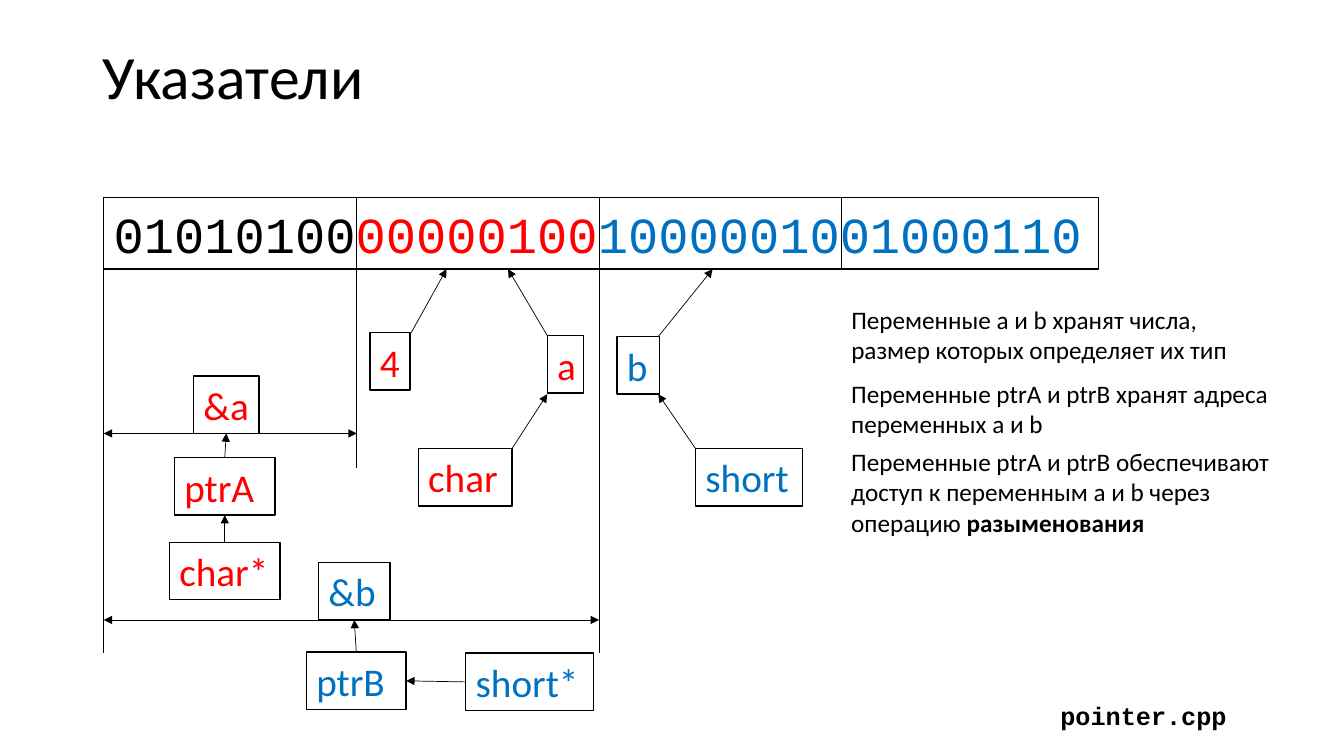
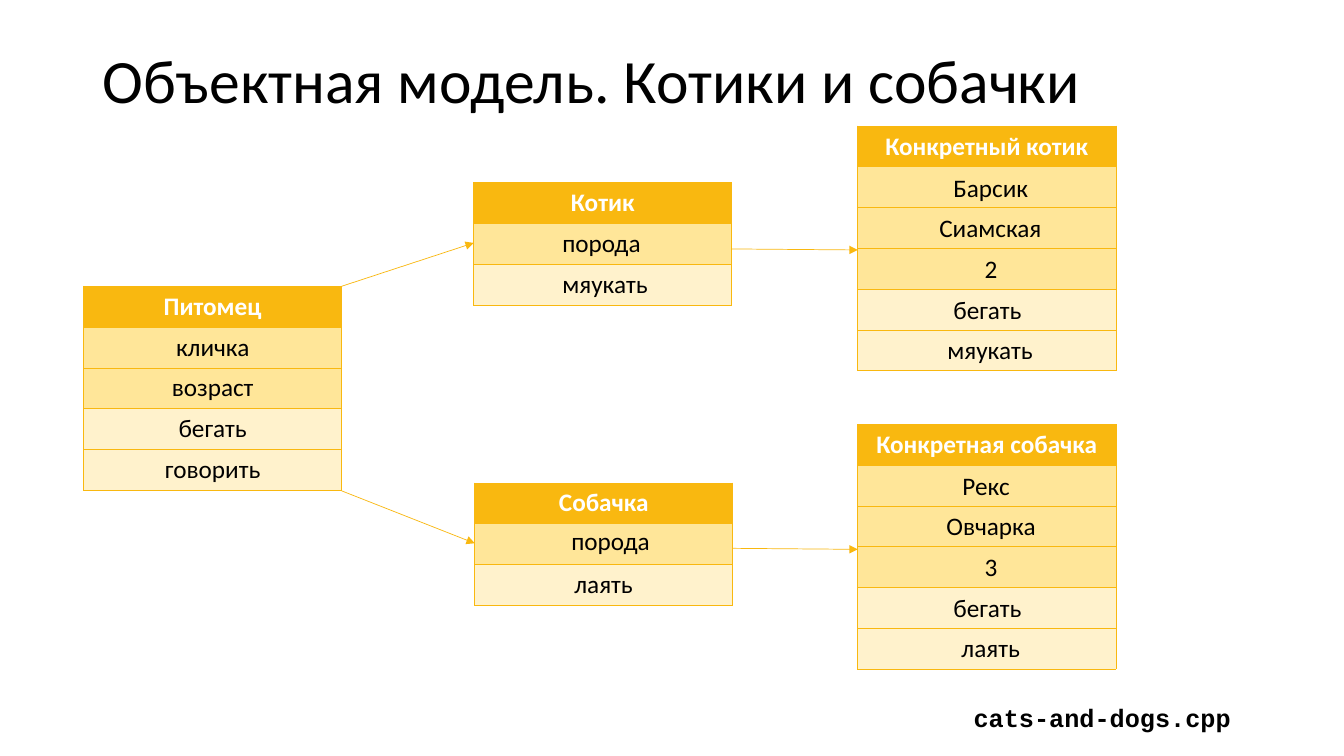
from lxml import etree
from pptx import Presentation
from pptx.dml.color import RGBColor
from pptx.enum.shapes import MSO_CONNECTOR, MSO_SHAPE
from pptx.enum.text import MSO_ANCHOR, PP_ALIGN
from pptx.oxml.ns import qn
from pptx.util import Inches, Pt

BLACK = RGBColor(0x00, 0x00, 0x00)
WHITE = RGBColor(0xFF, 0xFF, 0xFF)
RED = RGBColor(0xFF, 0x00, 0x00)
BLUE = RGBColor(0x00, 0x70, 0xC0)
AMBER = RGBColor(0xF9, 0xB8, 0x10)
FIELD = RGBColor(0xFF, 0xE6, 0x99)
METHOD = RGBColor(0xFF, 0xF2, 0xCC)
BODY, CODE = "Calibri", "Courier New"
LEFT, CENTER = PP_ALIGN.LEFT, PP_ALIGN.CENTER
MIDDLE = MSO_ANCHOR.MIDDLE
STRAIGHT, RECT = MSO_CONNECTOR.STRAIGHT, MSO_SHAPE.RECTANGLE
TOP_SIDE, LEFT_SIDE, BOTTOM_SIDE, RIGHT_SIDE = range(4)

prs = Presentation()
prs.slide_width, prs.slide_height = Inches(13.33), Inches(7.5)
# All positions are columns and rows of a 40 x 30 grid
GRID = (prs.slide_width / 40, prs.slide_height / 30) * 2


def write(tf, *runs, size=18, font=BODY, color=BLACK, bold=False, align=LEFT):
    """Fill the first paragraph; a run is a text or a (text, color, bold) tuple."""
    p = tf.paragraphs[0]
    p.alignment = align
    for run in runs:
        text, run_color, run_bold = (run, color, bold) if isinstance(run, str) else run
        r = p.add_run()
        r.text = text
        r.font.name, r.font.size = font, Pt(size)
        r.font.bold, r.font.color.rgb = run_bold, run_color


def connect(slide, points, color=BLACK, ends=("tailEnd",)):
    """Draw a thin line from x1, y1 to x2, y2 with arrowheads at the named ends."""
    c = slide.shapes.add_connector(STRAIGHT, *[int(v * g) for v, g in zip(points, GRID)])
    c.line.color.rgb, c.line.width = color, Pt(0.5)
    for end in ends:
        etree.SubElement(c.line._get_or_add_ln(), qn(f"a:{end}"), type="triangle")
    etree.SubElement(c._element.spPr, qn("a:effectLst"))
    return c


# Titles and file names
slides = []
for title, title_top, file_name, file_box in [
    ("Указатели", 1.44, "pointer.cpp", (31.26, 27.6, 5.58, 1.6)),
    ("Объектная модель. Котики и собачки", 1.6, "cats-and-dogs.cpp",
     (28.68, 27.68, 8.28, 1.6)),
]:
    s = prs.slides.add_slide(prs.slide_layouts[5])
    sp = s.shapes.title
    sp.left, sp.top, sp.width, sp.height = [
        int(v * g) for v, g in zip((2.76, title_top, 34.5, 3.4), GRID)]
    sp.text_frame.vertical_anchor = MIDDLE
    write(sp.text_frame, title, size=44)
    sp.text_frame.paragraphs[0].line_spacing = 0.9
    sp = s.shapes.add_textbox(*[int(v * g) for v, g in zip(file_box, GRID)])
    sp.text_frame.word_wrap = False
    write(sp.text_frame, file_name, font=CODE, bold=True)
    slides.append(s)
pointers, pets = slides

# Slide 1: memory strip, its byte borders and the address spans
STRIP_LEFT, STRIP_TOP, STRIP_BOTTOM = 3.09, 7.84, 10.68
BYTE_EDGES = [10.62 + 7.21 * i for i in range(3)]
BOX_HEIGHT = 2.28

boxes = {}
BITS = [("01010100", BLACK, False), ("00000100", RED, False),
        ("1000001001000110", BLUE, False)]
LABELS = [
    ("4", RED, 11.01, 13.2, 1.2),
    ("a", RED, 16.29, 13.32, 1.08),
    ("b", BLUE, 18.36, 13.36, 1.26),
    ("&a", RED, 5.76, 14.92, 1.95),
    ("&b", BLUE, 9.48, 22.32, 2.13),
    ("char", RED, 12.45, 17.8, 2.79),
    ("short", BLUE, 20.7, 17.8, 3.18),
    ("ptrA", RED, 5.19, 18.16, 3),
    ("char*", RED, 5.04, 21.52, 3.3),
    ("ptrB", BLUE, 9.12, 25.88, 2.97),
    ("short*", BLUE, 13.86, 25.92, 3.81),
]
strip = (STRIP_LEFT, STRIP_TOP, 29.61, STRIP_BOTTOM - STRIP_TOP)
framed = [("bits", BITS, strip, 36, CODE)]
framed += [(text, [(text, color, False)], (x, y, w, BOX_HEIGHT), 28, BODY)
           for text, color, x, y, w in LABELS]
for name, runs, box, size, font in framed:
    sp = pointers.shapes.add_shape(RECT, *[int(v * g) for v, g in zip(box, GRID)])
    sp.shadow.inherit = False
    sp.fill.solid()
    sp.fill.fore_color.rgb = WHITE
    sp.line.color.rgb, sp.line.width = BLACK, Pt(1)
    sp.text_frame.word_wrap = True
    sp.text_frame.vertical_anchor = MIDDLE
    write(sp.text_frame, *runs, size=size, font=font)
    boxes[name] = sp

for x in BYTE_EDGES:
    connect(pointers, (x, STRIP_TOP, x, STRIP_BOTTOM), ends=())
# Each span has a guide at both ends and a double arrow between them
for right, guide_top, right_top, guide_bottom, y in [
    (BYTE_EDGES[0], STRIP_BOTTOM, STRIP_BOTTOM, 18.56, 17.2),
    (BYTE_EDGES[1], 18.04, 9.2, 25.92, 24.6),
]:
    connect(pointers, (STRIP_LEFT, guide_top, STRIP_LEFT, guide_bottom), ends=())
    connect(pointers, (right, right_top, right, guide_bottom), ends=())
    connect(pointers, (STRIP_LEFT, y, right, y), ends=("headEnd", "tailEnd"))

for points in [
    (12.24, 13.2, 13.29, STRIP_BOTTOM),
    (16.29, 13.32, 15.12, STRIP_BOTTOM),
    (19.59, 13.36, 21.21, STRIP_BOTTOM),
    (20.7, 17.8, 19.59, 15.64),
    (15.24, 17.8, 16.29, 15.64),
]:
    connect(pointers, points)
for start, start_side, end, end_side in [
    ("ptrA", TOP_SIDE, "&a", BOTTOM_SIDE),
    ("char*", TOP_SIDE, "ptrA", BOTTOM_SIDE),
    ("ptrB", TOP_SIDE, "&b", BOTTOM_SIDE),
    ("short*", LEFT_SIDE, "ptrB", RIGHT_SIDE),
]:
    c = connect(pointers, (0, 0, 0, 0))
    c.begin_connect(boxes[start], start_side)
    c.end_connect(boxes[end], end_side)

# Slide 1: explanations
for top, width, height, runs in [
    (11.88, 11.82, 2.84,
     ["Переменные a и b хранят числа, размер которых определяет их тип"]),
    (14.8, 13.83, 2.84, ["Переменные ptrA и ptrB хранят адреса переменных a и b"]),
    (17.52, 13.83, 4.04,
     ["Переменные ptrA и ptrB обеспечивают доступ к переменным a и b через операцию ",
      ("разыменования", BLACK, True)]),
]:
    box = (BYTE_EDGES[2], top, width, height)
    sp = pointers.shapes.add_textbox(*[int(v * g) for v, g in zip(box, GRID)])
    sp.text_frame.word_wrap = True
    write(sp.text_frame, *runs)

# Slide 2: classes and objects as tables; only the first has text in all rows
CLASS_WIDTH, LINE_HEIGHT = 7.68, 1.62
for left, top, texts, field_count, method_count in [
    (2.49, 11.36, ["Питомец", "кличка", "возраст", "бегать", "говорить"], 2, 2),
    (14.1, 7.24, ["Котик"], 1, 1),
    (14.13, 19.16, ["Собачка"], 1, 1),
    (25.53, 5, ["Конкретный котик"], 3, 2),
    (25.53, 16.84, ["Конкретная собачка"], 3, 2),
]:
    fills = [AMBER] + [FIELD] * field_count + [METHOD] * method_count
    box = (left, top, CLASS_WIDTH, LINE_HEIGHT * len(fills))
    table = pets.shapes.add_table(
        len(fills), 1, *[int(v * g) for v, g in zip(box, GRID)]).table
    table.first_row = table.horz_banding = False
    for i, fill in enumerate(fills):
        cell = table.cell(i, 0)
        for side in "LRTB":
            ln = etree.SubElement(cell._tc.get_or_add_tcPr(), qn(f"a:ln{side}"),
                                  w=str(Pt(0.5)))
            solid = etree.SubElement(ln, qn("a:solidFill"))
            etree.SubElement(solid, qn("a:srgbClr"), val=str(AMBER))
        cell.fill.solid()
        cell.fill.fore_color.rgb = fill
        if i < len(texts):
            write(cell.text_frame, texts[i], color=BLACK if i else WHITE,
                  bold=i == 0, align=CENTER)

# Slide 2: labels laid over the rows of the other tables
for text, left, top, width, wrap in [
    ("порода", 16.44, 8.84, 2.97, False),
    ("мяукать", 16.44, 10.44, 3.36, True),
    ("порода", 16.71, 20.64, 2.97, False),
    ("лаять", 16.8, 22.36, 3.36, True),
    ("Барсик", 28.08, 6.64, 2.85, False),
    ("Сиамская", 27.66, 8.24, 3.69, False),
    ("2", 29.01, 9.84, 0.99, False),
    ("бегать", 28.08, 11.48, 2.67, False),
    ("мяукать", 27.9, 13.08, 3.36, True),
    ("Рекс", 28.35, 18.48, 2.04, False),
    ("Овчарка", 27.87, 20.04, 3.3, False),
    ("3", 29.01, 21.68, 0.99, False),
    ("бегать", 28.08, 23.32, 2.67, False),
    ("лаять", 28.32, 24.88, 3.36, True),
]:
    box = (left, top, width, 1.6)
    sp = pets.shapes.add_textbox(*[int(v * g) for v, g in zip(box, GRID)])
    sp.text_frame.word_wrap = wrap
    write(sp.text_frame, text)

for points in [
    (10.17, 11.36, 14.1, 9.64),
    (10.17, 19.48, 14.13, 21.56),
    (21.78, 9.88, 25.53, 9.92),
    (21.81, 21.76, 25.53, 21.8),
]:
    connect(pets, points, color=AMBER)

prs.save("out.pptx")
